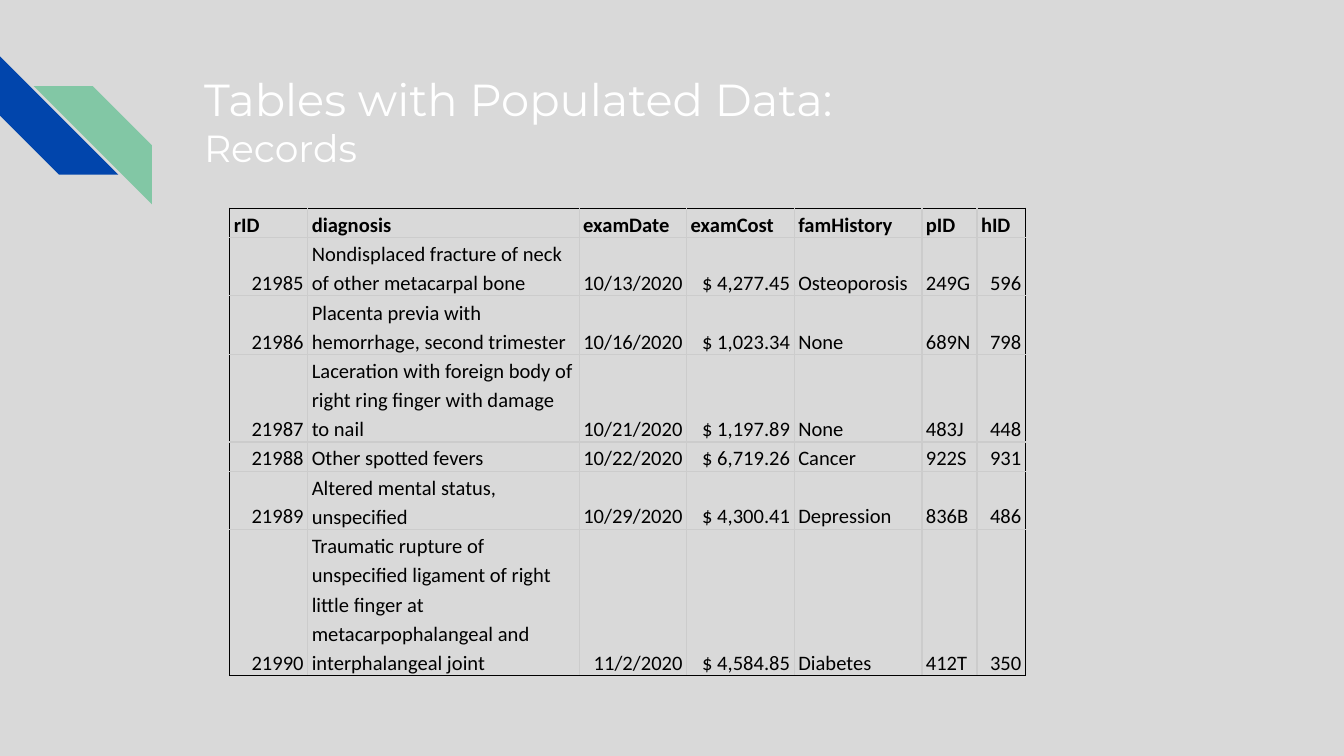
from lxml import etree
from pptx import Presentation
from pptx.dml.color import RGBColor
from pptx.enum.shapes import MSO_SHAPE
from pptx.enum.text import MSO_ANCHOR, PP_ALIGN
from pptx.oxml.ns import qn
from pptx.util import Inches, Pt

COLORS = {"bg": "D9D9D9", "blue": "0145AC", "green": "82C7A5",
          "title": "FFFFFF", "text": "000000", "frame": "000000", "grid": "CCCCCC"}

TITLE = [("Tables with Populated Data:", 24), ("Records", 20.2)]

# left, top, rotation, colour
STRIPES = [(0, 0.42, 270, "blue"), (0.25, 0.64, 90, "green")]
STRIPE_SIZE = 0.88

RECORDS = [
    ("rID", "diagnosis", "examDate", "examCost", "famHistory", "pID", "hID"),
    ("21985", "Nondisplaced fracture of neck of other metacarpal bone",
     "10/13/2020", "$ 4,277.45", "Osteoporosis", "249G", "596"),
    ("21986", "Placenta previa with hemorrhage, second trimester",
     "10/16/2020", "$ 1,023.34", "None", "689N", "798"),
    ("21987", "Laceration with foreign body of right ring finger with damage to nail",
     "10/21/2020", "$ 1,197.89", "None", "483J", "448"),
    ("21988", "Other spotted fevers",
     "10/22/2020", "$ 6,719.26", "Cancer", "922S", "931"),
    ("21989", "Altered mental status, unspecified",
     "10/29/2020", "$ 4,300.41", "Depression", "836B", "486"),
    ("21990", "Traumatic rupture of unspecified ligament of right little finger at "
     "metacarpophalangeal and interphalangeal joint",
     "11/2/2020", "$ 4,584.85", "Diabetes", "412T", "350"),
]
COL_WIDTHS = [0.58, 2.02, 0.8, 0.8, 0.95, 0.41, 0.36]
ROW_HEIGHTS = [0.22, 0.43, 0.44, 0.65, 0.22, 0.43, 1.09]
RIGHT_COLS = {0, 2, 3, 6}


def rgb(name):
    return RGBColor.from_string(COLORS[name])


def add_run(p, text, size, font, color, bold=False):
    r = p.add_run()
    r.text = text
    r.font.size = Pt(size)
    r.font.name = font
    r.font.bold = bold
    r.font.color.rgb = rgb(color)


def set_borders(cell, outer_sides):
    """Frame colour on the outer sides, grid colour on the others."""
    tcPr = cell._tc.get_or_add_tcPr()
    for side in "LRTB":
        ln = etree.SubElement(tcPr, qn(f"a:ln{side}"), w=str(Pt(0.75)))
        fill = etree.SubElement(ln, qn("a:solidFill"))
        color = COLORS["frame" if side in outer_sides else "grid"]
        etree.SubElement(fill, qn("a:srgbClr"), val=color)


# Widescreen 16:9 slide
prs = Presentation()
prs.slide_width = Inches(10)
prs.slide_height = Inches(10 * 9 / 16)
s = prs.slides.add_slide(prs.slide_layouts[6])
s.background.fill.solid()
s.background.fill.fore_color.rgb = rgb("bg")

# Corner stripes
for left, top, rotation, color in STRIPES:
    sp = s.shapes.add_shape(MSO_SHAPE.DIAGONAL_STRIPE, Inches(left), Inches(top),
                            Inches(STRIPE_SIZE), Inches(STRIPE_SIZE))
    sp.adjustments[0] = 0.5
    sp.rotation = rotation
    sp.shadow.inherit = False
    sp.fill.solid()
    sp.fill.fore_color.rgb = rgb(color)
    sp.line.fill.background()

# Title
tf = s.shapes.add_textbox(Inches(1.42), Inches(0.4), Inches(7.7), Inches(1)).text_frame
tf.word_wrap = True
tf.vertical_anchor = MSO_ANCHOR.MIDDLE
tf.margin_left = tf.margin_right = tf.margin_top = tf.margin_bottom = Inches(0.1)
for i, (text, size) in enumerate(TITLE):
    p = tf.add_paragraph() if i else tf.paragraphs[0]
    add_run(p, text, size, "Montserrat", "title")

# Records table
n_rows, n_cols = len(RECORDS), len(COL_WIDTHS)
table = s.shapes.add_table(n_rows, n_cols, Inches(1.71), Inches(1.55),
                           Inches(sum(COL_WIDTHS)), Inches(sum(ROW_HEIGHTS))).table
table.first_row = table.horz_banding = False
for col, width in zip(table.columns, COL_WIDTHS):
    col.width = Inches(width)
for row, height in zip(table.rows, ROW_HEIGHTS):
    row.height = Inches(height)

for i, record in enumerate(RECORDS):
    for j, text in enumerate(record):
        cell = table.cell(i, j)
        outer = {"L": j == 0, "R": j == n_cols - 1, "T": i == 0, "B": i == n_rows - 1}
        set_borders(cell, [side for side, on in outer.items() if on])
        cell.fill.background()
        cell.vertical_anchor = MSO_ANCHOR.BOTTOM
        cell.margin_left = cell.margin_right = Inches(0.03)
        cell.margin_top = cell.margin_bottom = 0
        p = cell.text_frame.paragraphs[0]
        p.line_spacing = 1.15
        p.alignment = PP_ALIGN.RIGHT if i and j in RIGHT_COLS else PP_ALIGN.LEFT
        add_run(p, text, 11, "Calibri", "text", bold=i == 0)

prs.save("out.pptx")
